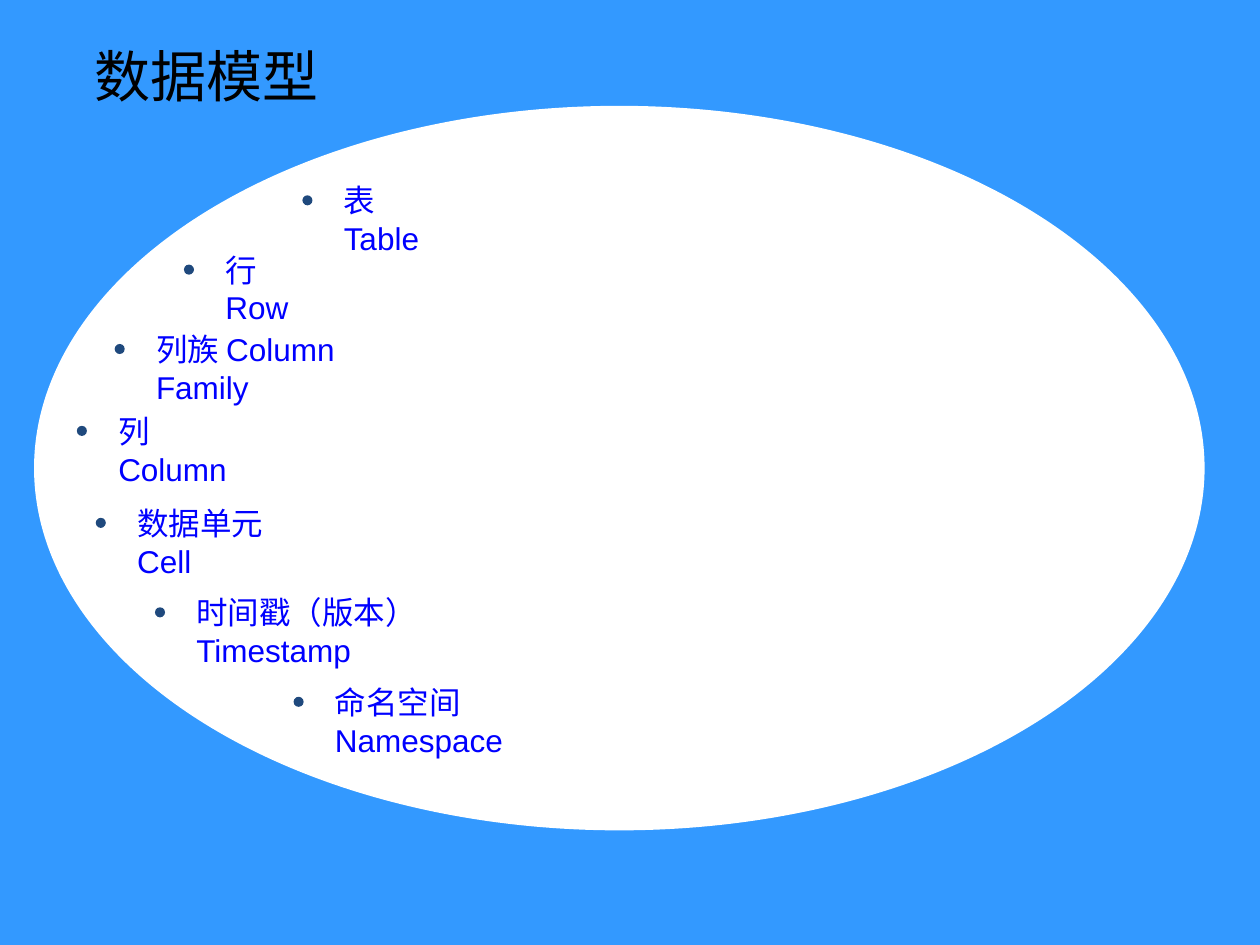
from pptx import Presentation, util as u
from pptx.dml import color
from pptx.enum import shapes, text

BLUE, WHITE, BLACK = "3399FF", "FFFFFF", "000000"
BULLET, TERM = "1F497D", "0000FF"

TERMS = [
    (2.4, 1.55, 1.12, ["表", "Table"]),
    (1.46, 2.1, 1.02, ["行", "Row"]),
    (0.91, 2.73, 2.44, ["列族 Column", "Family"]),
    (0.61, 3.38, 1.38, ["列", "Column"]),
    (0.76, 4.11, 1.7, ["数据单元", "Cell"]),
    (1.23, 4.82, 3.25, ["时间戳（版本）", "Timestamp"]),
    (2.33, 5.53, 2.6, ["命名空间", "Namespace"]),
]


def rgb(value):
    return color.RGBColor.from_string(value)


class SlideBuilder:
    """Draws styled elements on the current slide."""

    def __init__(self, slide):
        self.slide = slide

    def background(self, fill):
        background_fill = self.slide.background.fill
        background_fill.solid()
        background_fill.fore_color.rgb = rgb(fill)

    def ellipse(self, left, top, width, height, fill):
        shape = self.slide.shapes.add_shape(
            shapes.MSO_SHAPE.OVAL,
            u.Inches(left), u.Inches(top), u.Inches(width), u.Inches(height))
        shape.shadow.inherit = False
        shape.fill.solid()
        shape.fill.fore_color.rgb = rgb(fill)
        shape.line.fill.background()

    def label(self, left, top, width, height, lines, size, font, fill,
              align=text.PP_ALIGN.LEFT, anchor=text.MSO_ANCHOR.TOP):
        box = self.slide.shapes.add_textbox(
            u.Inches(left), u.Inches(top), u.Inches(width), u.Inches(height))
        frame = box.text_frame
        frame.word_wrap = True
        frame.vertical_anchor = anchor
        paragraph = frame.paragraphs[0]
        paragraph.alignment = align
        for index, line in enumerate(lines):
            if index:
                paragraph.add_line_break()
            run = paragraph.add_run()
            run.text = line
            run.font.size = u.Pt(size)
            run.font.name = font
            run.font.color.rgb = rgb(fill)

    def term(self, left, top, width, lines):
        self.ellipse(left, top, 0.08, 0.08, BULLET)
        self.label(left + 0.23, top - 0.16, width, 0.4, lines, 18, "Arial", TERM)


def main():
    presentation = Presentation()
    presentation.slide_width = u.Inches(10)
    presentation.slide_height = u.Inches(7.5)
    builder = SlideBuilder(presentation.slides.add_slide(presentation.slide_layouts[6]))
    builder.background(BLUE)
    builder.ellipse(0.27, 0.84, 9.29, 5.75, WHITE)
    builder.label(0.51, 0.28, 2.26, 0.63, ["数据模型"], 32, "Calibri", BLACK,
                  text.PP_ALIGN.CENTER, text.MSO_ANCHOR.MIDDLE)
    for term in TERMS:
        builder.term(*term)
    presentation.save("out.pptx")


if __name__ == "__main__":
    main()
